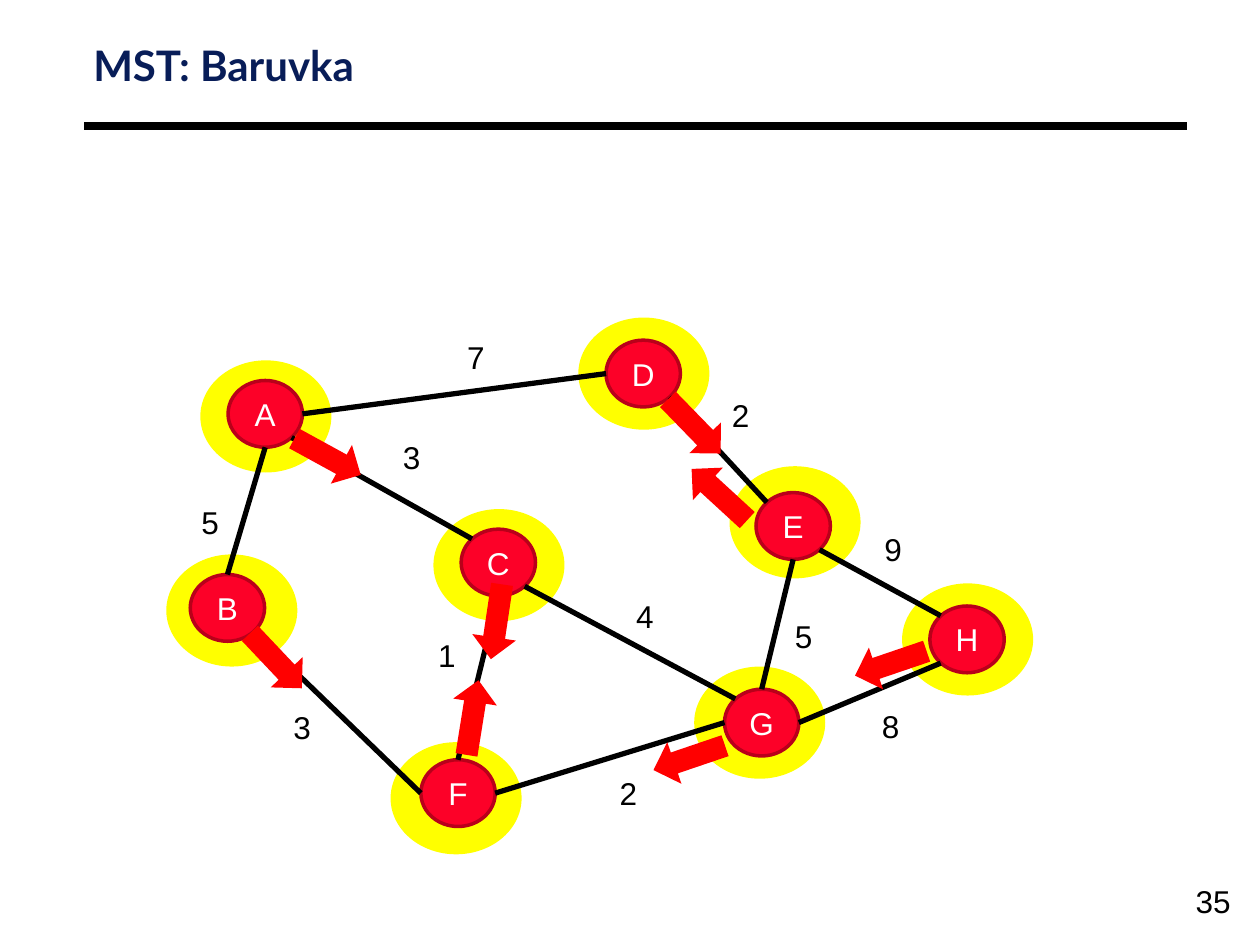
from pptx import Presentation
from pptx.dml.color import RGBColor
from pptx.enum.shapes import MSO_CONNECTOR, MSO_SHAPE
from pptx.enum.text import MSO_ANCHOR, MSO_AUTO_SIZE, PP_ALIGN
from pptx.oxml.ns import qn
from pptx.util import Inches, Pt
from lxml import etree

STRAIGHT = MSO_CONNECTOR.STRAIGHT
OVAL, RIGHT_ARROW = MSO_SHAPE.OVAL, MSO_SHAPE.RIGHT_ARROW
TOP, MIDDLE = MSO_ANCHOR.TOP, MSO_ANCHOR.MIDDLE
NO_AUTOFIT = MSO_AUTO_SIZE.NONE
LEFT, CENTER = PP_ALIGN.LEFT, PP_ALIGN.CENTER

BLACK, WHITE, NAVY = "000000", "FFFFFF", "081D58"
YELLOW, RED, NODE_RED, NODE_EDGE = "FFFF00", "FF0000", "FC0128", "B9001A"

HALO_W, HALO_H = 1.04, 0.89
NODE_W, NODE_H = 0.59, 0.53
ARROW_W, ARROW_H = 0.6, 0.35
LABEL_W, LABEL_H = 0.34, 0.4

HALOS = [(4.59, 2.52), (5.79, 3.7), (7.16, 4.63), (5.51, 5.29),
         (3.44, 4.04), (3.1, 5.89), (1.32, 4.4), (1.59, 2.86)]
NODES = {"A": (1.81, 3.02), "B": (1.51, 4.56), "C": (3.66, 4.2), "D": (4.81, 2.7),
         "E": (6, 3.91), "F": (3.34, 6.03), "G": (5.75, 5.47), "H": (7.38, 4.81)}
DIAGONAL = 0.71
SITES = {"n": (0, -1), "s": (0, 1), "w": (-1, 0), "e": (1, 0),
         "nw": (-DIAGONAL, -DIAGONAL), "se": (DIAGONAL, DIAGONAL),
         "sw": (-DIAGONAL, DIAGONAL)}
EDGES = [("B", "n", "A", "s"), ("A", "e", "D", "w"), ("D", "se", "E", "nw"),
         ("C", "s", "F", "n"), ("F", "e", "G", "w"), ("C", "nw", "A", "se"),
         ("G", "n", "E", "s"), ("B", "se", "F", "w"), ("G", "nw", "C", "se"),
         ("E", "se", "H", "nw"), ("H", "sw", "G", "e")]
WEIGHTS = [("5", 1.5, 3.94), ("3", 3.1, 3.43), ("7", 3.61, 2.63), ("2", 5.71, 3.09),
           ("1", 3.38, 5), ("3", 2.23, 5.57), ("2", 4.82, 6.09), ("4", 4.95, 4.69),
           ("5", 6.21, 4.85), ("9", 6.92, 4.16), ("8", 6.9, 5.56)]
ARROWS = [(3.45, 5.52, 279.1), (3.64, 4.76, 98.5), (1.89, 5.07, 46.6), (2.3, 3.45, 28.7),
          (5.21, 3.21, 45.8), (5.41, 3.75, 222.6), (5.17, 5.84, 161.2), (6.77, 5.09, 161.2)]


def rgb(color):
    return RGBColor.from_string(color)


def add_run(p, text, color, size=18, font="Arial", bold=False):
    r = p.add_run()
    r.text = text
    r.font.size, r.font.name, r.font.bold = Pt(size), font, bold
    r.font.color.rgb = rgb(color)


def add_title(s, text):
    sp = s.shapes.title
    sp.left, sp.top, sp.width, sp.height = (Inches(v) for v in (0.67, 0.34, 8.67, 0.41))
    tf = sp.text_frame
    tf.auto_size, tf.vertical_anchor = NO_AUTOFIT, TOP
    tf.margin_left = tf.margin_right = Inches(0.07)
    tf.margin_top = tf.margin_bottom = Inches(0.03)
    p = tf.paragraphs[0]
    p.alignment, p.line_spacing = LEFT, 0.87
    add_run(p, text, NAVY, 24, "Lato", True)


def add_label(s, text, x, y, w=LABEL_W, wrap=False):
    sp = s.shapes.add_textbox(Inches(x), Inches(y), Inches(w), Inches(LABEL_H))
    tf = sp.text_frame
    tf.word_wrap = wrap
    add_run(tf.paragraphs[0], text, BLACK)


def add_filled(s, kind, x, y, w, h, fill):
    sp = s.shapes.add_shape(kind, Inches(x), Inches(y), Inches(w), Inches(h))
    sp.shadow.inherit = False
    sp.fill.solid()
    sp.fill.fore_color.rgb = rgb(fill)
    sp.line.fill.background()
    return sp


def add_node(s, name, x, y):
    sp = add_filled(s, OVAL, x, y, NODE_W, NODE_H, NODE_RED)
    sp.line.color.rgb = rgb(NODE_EDGE)
    sp.line.width = Pt(2)
    tf = sp.text_frame
    tf.vertical_anchor = MIDDLE
    p = tf.paragraphs[0]
    p.alignment = CENTER
    add_run(p, name, WHITE)


def add_line(s, start, end, width):
    c = s.shapes.add_connector(STRAIGHT, *(Inches(v) for v in (*start, *end)))
    c.line.color.rgb = rgb(BLACK)
    c.line.width = Pt(width)
    etree.SubElement(c._element.spPr, qn("a:effectLst"))


def site_point(name, site):
    x, y = NODES[name]
    dx, dy = SITES[site]
    return x + NODE_W / 2 * (1 + dx), y + NODE_H / 2 * (1 + dy)


def main():
    prs = Presentation()
    prs.slide_width, prs.slide_height = Inches(10), Inches(7.5)
    s = prs.slides.add_slide(prs.slide_layouts[5])
    add_line(s, (0.67, 1), (9.42, 1), 4.5)
    for x, y in HALOS:
        add_filled(s, OVAL, x, y, HALO_W, HALO_H, YELLOW)
    add_title(s, "MST: Baruvka")
    add_label(s, "35", 9.39, 6.95, 0.61, True)
    for name, (x, y) in NODES.items():
        add_node(s, name, x, y)
    for a, a_site, b, b_site in EDGES:
        add_line(s, site_point(a, a_site), site_point(b, b_site), 3)
    for weight, x, y in WEIGHTS:
        add_label(s, weight, x, y)
    for x, y, angle in ARROWS:
        add_filled(s, RIGHT_ARROW, x, y, ARROW_W, ARROW_H, RED).rotation = angle
    prs.save("out.pptx")


if __name__ == "__main__":
    main()
